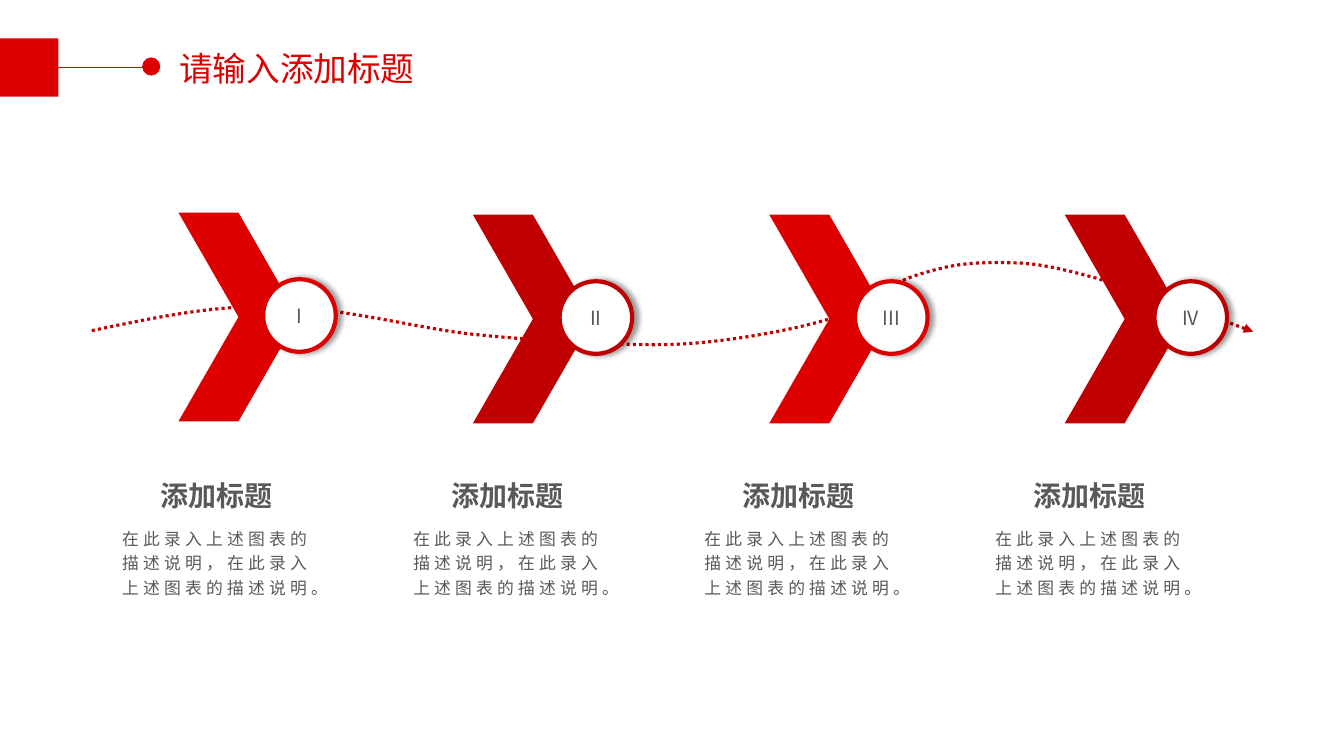
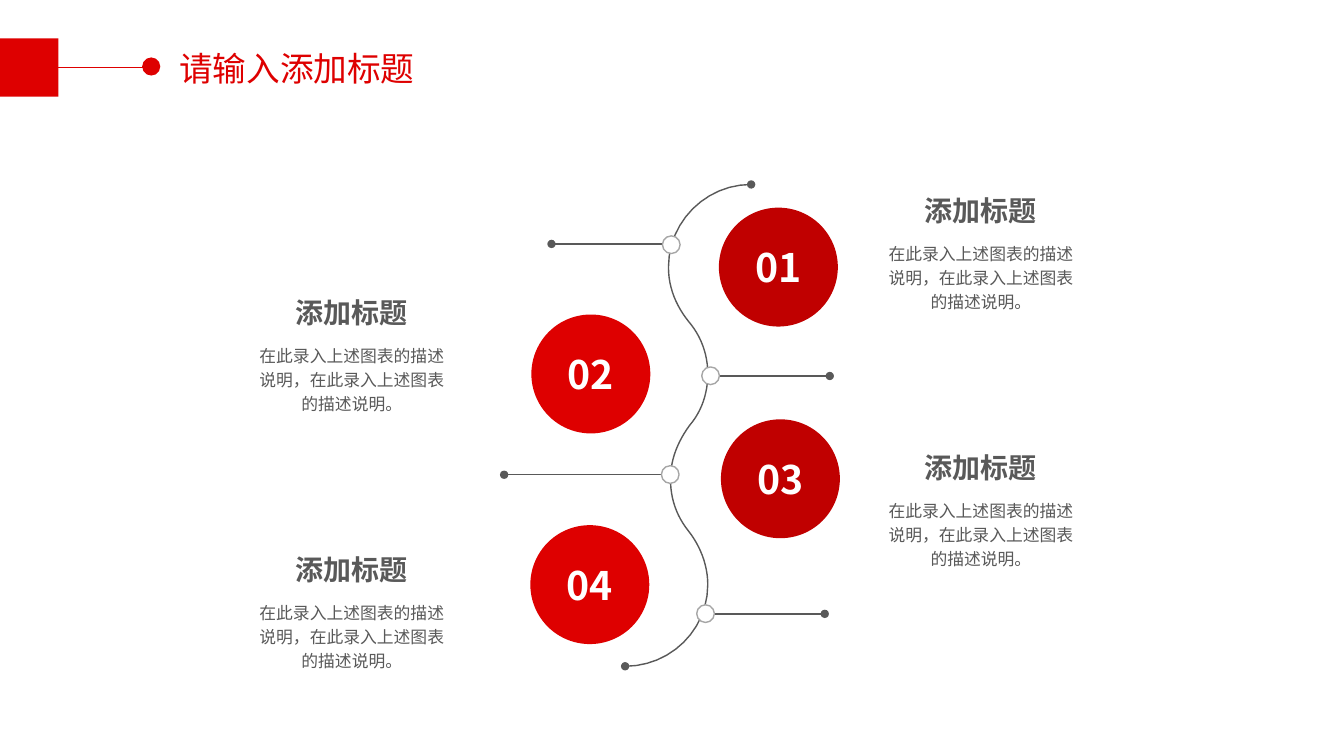
import pptx
import pptx.util
import pptx.dml.color
import pptx.enum.dml
import pptx.enum.shapes
import pptx.enum.text
import pptx.oxml
import pptx.oxml.ns
from lxml import etree

Inches = pptx.util.Inches
Pt = pptx.util.Pt
rgb = pptx.dml.color.RGBColor.from_string
qn = pptx.oxml.ns.qn
KIND = pptx.enum.shapes.MSO_SHAPE
ALIGN = pptx.enum.text.PP_ALIGN
ANCHOR = pptx.enum.text.MSO_ANCHOR

RED, DARK_RED, GREY, LIGHT_GREY, WHITE = "DE0000", "C00000", "595959", "A6A6A6", "FFFFFF"
FONT = "Noto Sans CJK SC"
TITLE = "请输入添加标题"
HEADING = "添加标题"
DESCRIPTION = "在此录入上述图表的描述说明，在此录入上述图表的描述说明。"


def draw(slide, kind, box, fill, outline=None, outline_width=1):
    shape = slide.shapes.add_shape(kind, *map(Inches, box))
    shape.shadow.inherit = False
    shape.fill.solid()
    shape.fill.fore_color.rgb = rgb(fill)
    if outline:
        shape.line.color.rgb = rgb(outline)
        shape.line.width = Pt(outline_width)
    else:
        shape.line.fill.background()
    return shape


def write(shape, text, size, color, bold=False, align=ALIGN.CENTER, anchor=ANCHOR.TOP,
          side_margin=0.1, line_spacing=1.0, letter_spacing=0):
    frame_format = {"word_wrap": True, "vertical_anchor": anchor,
                    "margin_left": Inches(side_margin), "margin_right": Inches(side_margin),
                    "margin_top": Inches(0.05), "margin_bottom": Inches(0.05)}
    for key, value in frame_format.items():
        setattr(shape.text_frame, key, value)
    paragraph = shape.text_frame.paragraphs[0]
    paragraph.alignment = align
    paragraph.line_spacing = line_spacing
    run = paragraph.add_run()
    run.text = text
    for key, value in {"size": Pt(size), "bold": bold, "name": FONT}.items():
        setattr(run.font, key, value)
    run.font.color.rgb = rgb(color)
    properties = run.font._element
    etree.SubElement(properties, qn("a:ea"), typeface=FONT)
    if letter_spacing:
        properties.set("spc", str(letter_spacing * 100))


deck = pptx.Presentation()
deck.slide_width = Inches(13.33)
deck.slide_height = Inches(7.5)
process, timeline = [deck.slides.add_slide(deck.slide_layouts[6]) for _ in range(2)]

# Curves: a start point, then two control points and an end point per segment
wave = [(0.91, 3.28), (1.49, 3.16), (2.08, 3.03), (2.7, 3.04), (3.32, 3.04), (4.13, 3.25),
        (4.63, 3.31), (5.12, 3.36), (5.29, 3.37), (5.68, 3.39), (6.06, 3.41), (6.52, 3.44),
        (6.94, 3.4), (7.37, 3.36), (7.88, 3.27), (8.24, 3.16), (8.6, 3.05), (8.8, 2.81),
        (9.12, 2.72), (9.43, 2.63), (9.58, 2.59), (10.13, 2.61), (10.67, 2.63),
        (11.94, 3.11), (12.43, 3.29)]
spine = [(6.2, 6.61), (6.65, 6.61), (7.02, 6.25), (7.02, 5.8), (7.02, 5.6), (6.94, 5.41),
         (6.83, 5.27), (6.71, 5.12), (6.65, 4.95), (6.65, 4.75), (6.65, 4.55), (6.73, 4.37),
         (6.84, 4.22), (6.96, 4.08), (7.02, 3.9), (7.02, 3.71), (7.02, 3.51), (6.95, 3.33),
         (6.83, 3.19), (6.71, 3.04), (6.63, 2.86), (6.63, 2.65), (6.63, 2.2), (7, 1.83),
         (7.45, 1.83)]
title_rule = [(0, 0.67), (1.48, 0.67)]
spokes = [[(6.57, 2.42), (5.47, 2.42)], [(7.14, 3.73), (8.23, 3.73)],
          [(6.56, 4.71), (5, 4.71)], [(7.08, 6.09), (8.18, 6.09)]]

# Strokes: slide, points, colour, width, head, tail
strokes = [(slide, title_rule, RED, 1, None, None) for slide in (process, timeline)]
strokes += [(process, wave, DARK_RED, 2.25, None, "triangle"),
            (timeline, spine, GREY, 1, "oval", "oval")]
strokes += [(timeline, spoke, GREY, 1, None, "oval") for spoke in spokes]

for slide, points, color, width, head, tail in strokes:
    if len(points) == 2:
        stroke = slide.shapes.add_connector(
            pptx.enum.shapes.MSO_CONNECTOR.STRAIGHT, *[Inches(n) for xy in points for n in xy])
    else:
        steps = 12
        curve = []
        for first in range(0, len(points) - 1, 3):
            for step in range(1, steps + 1):
                t = step / steps
                weights = ((1 - t) ** 3, 3 * t * (1 - t) ** 2, 3 * t ** 2 * (1 - t), t ** 3)
                curve.append([Inches(sum(w * p[axis] for w, p in
                                         zip(weights, points[first:first + 4])))
                              for axis in (0, 1)])
        outline = slide.shapes.build_freeform(*map(Inches, points[0]))
        outline.add_line_segments(curve, close=False)
        stroke = outline.convert_to_shape()
        stroke.fill.background()
    stroke.line.color.rgb = rgb(color)
    stroke.line.width = Pt(width)
    if points is wave:
        stroke.line.dash_style = pptx.enum.dml.MSO_LINE.ROUND_DOT
    line_xml = stroke.line._get_or_add_ln()
    for tag, end in (("a:headEnd", head), ("a:tailEnd", tail)):
        if end:
            etree.SubElement(line_xml, qn(tag), type=end)
    etree.SubElement(stroke._element.spPr, qn("a:effectLst"))

# Title band on both slides
for slide in (process, timeline):
    draw(slide, KIND.RECTANGLE, (0, 0.38, 0.58, 0.58), RED)
    draw(slide, KIND.OVAL, (1.41, 0.57, 0.18, 0.18), RED)
    title = slide.shapes.add_textbox(*map(Inches, (1.68, 0.43, 3.32, 0.5)))
    write(title, TITLE, 24, RED, align=ALIGN.JUSTIFY)

# Process steps: chevron with a numbered badge
steps = [("I", RED, 1.77, 2.61, 2.11), ("II", DARK_RED, 4.69, 5.55, 2.13),
         ("III", RED, 7.63, 8.48, 2.13), ("IV", DARK_RED, 10.56, 11.45, 2.13)]
for numeral, color, chevron_left, badge_left, top in steps:
    draw(process, KIND.CHEVRON, (chevron_left, top, 1.19, 2.07), color)
    badge = draw(process, KIND.OVAL, (badge_left, top + 0.66, 0.72, 0.72), WHITE, color, 3)
    write(badge, numeral, 14, GREY, anchor=ANCHOR.MIDDLE)
    effects = badge._element.spPr.find(qn("a:effectLst"))
    shadow = etree.SubElement(effects, qn("a:outerShdw"), blurRad=str(Pt(4)),
                              dist=str(Pt(3)), dir="0", algn="l", rotWithShape="0")
    shade = etree.SubElement(shadow, qn("a:srgbClr"), val="000000")
    etree.SubElement(shade, qn("a:alpha"), val="40000")

# Timeline: numbered discs and nodes on the spine
discs = [("01", DARK_RED, 7.13, 2.06), ("02", RED, 5.27, 3.12),
         ("03", DARK_RED, 7.15, 4.16), ("04", RED, 5.26, 5.21)]
for number, color, left, top in discs:
    disc = draw(timeline, KIND.OVAL, (left, top, 1.18, 1.18), color)
    write(disc, number, 28, WHITE, bold=True, anchor=ANCHOR.MIDDLE, side_margin=0)
for left, top in [(6.57, 2.34), (6.96, 3.64), (6.56, 4.62), (6.91, 6)]:
    draw(timeline, KIND.OVAL, (left, top, 0.175, 0.175), WHITE, LIGHT_GREY)

# Captions: slide, left, top, letter spacing
captions = [(process, 1.07 + 2.887 * column, 4.7, 3) for column in range(4)]
captions += [(timeline, left, top + 2.55 * row, 0)
             for left, top in ((8.65, 1.87), (2.41, 2.88)) for row in range(2)]
for slide, left, top, letter_spacing in captions:
    heading = slide.shapes.add_textbox(*map(Inches, (left + 0.23, top, 1.7, 0.44)))
    write(heading, HEADING, 20, GREY, bold=True)
    description = slide.shapes.add_textbox(*map(Inches, (left, top + 0.46, 2.16, 0.83)))
    write(description, DESCRIPTION, 12, GREY, line_spacing=1.2, letter_spacing=letter_spacing)

deck.save("out.pptx")
